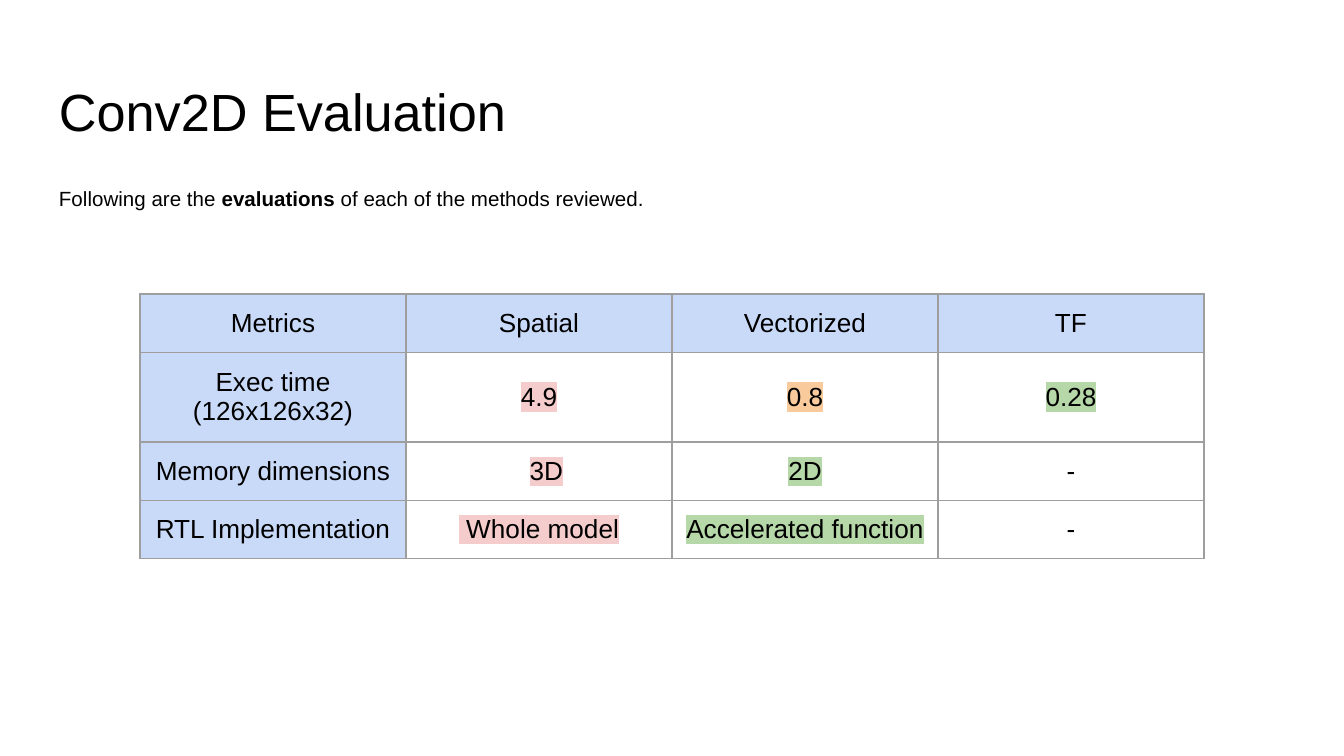
from dataclasses import dataclass
from lxml.etree import SubElement
from pptx import Presentation
from pptx.dml.color import RGBColor
from pptx.enum.text import MSO_ANCHOR, PP_ALIGN
from pptx.oxml import parse_xml
from pptx.oxml.ns import nsdecls, qn
from pptx.util import Pt


@dataclass(frozen=True)
class Theme:
    font: str = "Arial"
    ink: str = "000000"
    header: str = "C9DAF8"
    border: str = "9E9E9E"
    border_width: float = 0.75
    title_size: int = 28
    body_size: int = 11
    cell_size: int = 14
    inset: float = 7.2


theme = Theme()
RATING = {"poor": "F4CCCC", "fair": "F9CB9C", "good": "B6D7A8"}

TITLE = [("Conv2D Evaluation", False)]
INTRO = [
    ("Following are the ", False),
    ("evaluations ", True),
    ("of each of the methods reviewed.", False),
]
METRICS = [
    [("Metrics", None), ("Spatial", None), ("Vectorized", None), ("TF", None)],
    [("Exec time (126x126x32)", None), ("4.9", "poor"), ("0.8", "fair"), ("0.28", "good")],
    [("Memory dimensions", None), ("3D", "poor"), ("2D", "good"), ("-", None)],
    [("RTL Implementation", None), (" Whole model", "poor"), ("Accelerated function", "good"), ("-", None)],
]
INDENTS = {(2, 1): 7.8}

LEFT, WIDTH = 24.5, 671
TABLE_LEFT, TABLE_TOP = 75, 157.5
COLUMN_WIDTH, ROW_HEIGHT = 142.5, 30.24


def style_span(span, size, bold=False):
    span.font.size = Pt(size)
    span.font.bold = bold
    span.font.name = theme.font
    span.font.color.rgb = RGBColor.from_string(theme.ink)


def set_insets(target):
    target.margin_left = target.margin_right = Pt(theme.inset)
    target.margin_top = target.margin_bottom = Pt(theme.inset)


def add_text(page, top, height, spans, size, spacing=1.0):
    frame = page.shapes.add_textbox(Pt(LEFT), Pt(top), Pt(WIDTH), Pt(height)).text_frame
    frame.word_wrap = True
    set_insets(frame)
    para = frame.paragraphs[0]
    para.line_spacing = spacing
    for text, bold in spans:
        span = para.add_run()
        span.text = text
        style_span(span, size, bold)


def highlight(span, color):
    mark = parse_xml(f'<a:highlight {nsdecls("a")}><a:srgbClr val="{color}"/></a:highlight>')
    span.font._element.find(qn("a:solidFill")).addnext(mark)


def add_borders(cell):
    properties = cell._tc.get_or_add_tcPr()
    for index, side in enumerate(("lnL", "lnR", "lnT", "lnB")):
        line = SubElement(properties, qn(f"a:{side}"), w=str(Pt(theme.border_width)))
        fill = SubElement(line, qn("a:solidFill"))
        SubElement(fill, qn("a:srgbClr"), val=theme.border)
        properties.insert(index, line)


def fill_cell(cell, text, rating, is_header, indent):
    cell.text_frame.text = text
    cell.vertical_anchor = MSO_ANCHOR.MIDDLE
    set_insets(cell)
    cell.margin_left = Pt(theme.inset + indent)
    para = cell.text_frame.paragraphs[0]
    para.alignment = PP_ALIGN.CENTER
    span = para.runs[0]
    style_span(span, theme.cell_size)
    if rating:
        highlight(span, RATING[rating])
    if is_header:
        cell.fill.solid()
        cell.fill.fore_color.rgb = RGBColor.from_string(theme.header)
    else:
        cell.fill.background()
    add_borders(cell)


def add_metrics(page):
    rows, columns = len(METRICS), len(METRICS[0])
    table = page.shapes.add_table(
        rows, columns, Pt(TABLE_LEFT), Pt(TABLE_TOP),
        Pt(COLUMN_WIDTH * columns), Pt(ROW_HEIGHT * rows),
    ).table
    table.first_row = table.horz_banding = False
    for column in table.columns:
        column.width = Pt(COLUMN_WIDTH)
    for r, row in enumerate(METRICS):
        table.rows[r].height = Pt(ROW_HEIGHT)
        for c, (text, rating) in enumerate(row):
            fill_cell(table.cell(r, c), text, rating, r == 0 or c == 0, INDENTS.get((r, c), 0))


deck = Presentation()
deck.slide_width, deck.slide_height = Pt(720), Pt(405)
page = deck.slides.add_slide(deck.slide_layouts[6])
add_text(page, 35, 45, TITLE, theme.title_size)
add_text(page, 90.75, 269, INTRO, theme.body_size, 1.15)
add_metrics(page)
deck.save("out.pptx")
